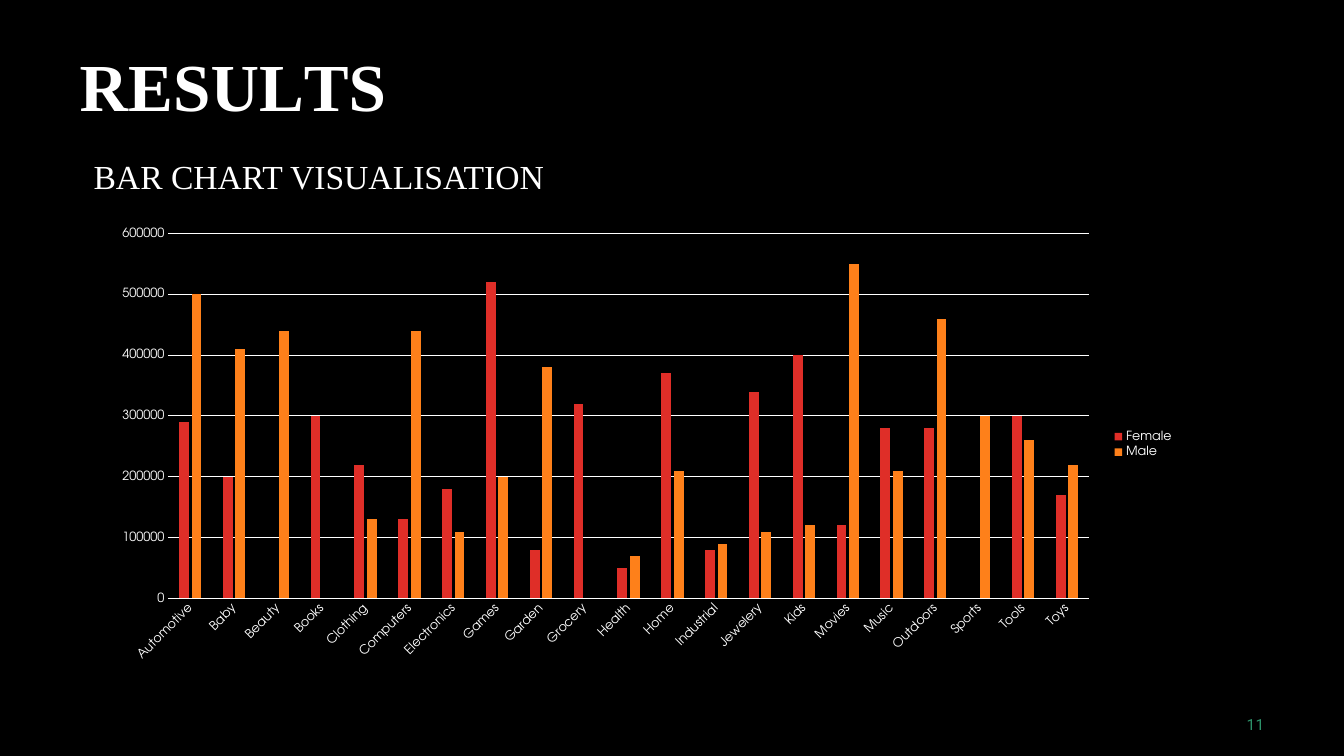
from pptx import Presentation
from pptx.chart.data import CategoryChartData
from pptx.dml.color import RGBColor
from pptx.enum import chart as ch, text
from pptx.util import Cm, Pt

BLACK = RGBColor(0x00, 0x00, 0x00)
WHITE = RGBColor(0xFF, 0xFF, 0xFF)
GREEN = RGBColor(0x2D, 0x93, 0x6B)
RED = RGBColor(0xDF, 0x2E, 0x28)
ORANGE = RGBColor(0xFE, 0x80, 0x1A)

SERIF = "Times New Roman"
CHART_FONT = "TeX Gyre Adventor"

# Category: (female, male), in thousands
SALES = {
    "Automotive": (290, 500), "Baby": (200, 410), "Beauty": (None, 440),
    "Books": (300, None), "Clothing": (220, 130), "Computers": (130, 440),
    "Electronics": (180, 110), "Games": (520, 200), "Garden": (80, 380),
    "Grocery": (320, None), "Health": (50, 70), "Home": (370, 210),
    "Industrial": (80, 90), "Jewelery": (340, 110), "Kids": (400, 120),
    "Movies": (120, 550), "Music": (280, 210), "Outdoors": (280, 460),
    "Sports": (None, 300), "Tools": (300, 260), "Toys": (170, 220),
}
SERIES = (("Female", RED), ("Male", ORANGE))


def style_font(font, size, name, color, bold=False):
    font.size, font.name, font.bold = Pt(size), name, bold
    font.color.rgb = color


def add_text(s, runs, left, top, width, height, *, size, font=SERIF, color=WHITE,
             bold=False, align=None, anchor=text.MSO_ANCHOR.TOP, inset=True,
             before=0):
    """Add a text box; runs are (text, letter spacing in points) pairs."""
    tf = s.shapes.add_textbox(Cm(left), Cm(top), Cm(width), Cm(height)).text_frame
    tf.word_wrap = True
    tf.vertical_anchor = anchor
    if not inset:
        tf.margin_left = tf.margin_right = tf.margin_bottom = 0
        tf.margin_top = Cm(0.03)
    p = tf.paragraphs[0]
    p.alignment = align
    p.space_before = Pt(before)
    for words, spacing in runs:
        r = p.add_run()
        r.text = words
        style_font(r.font, size, font, color, bold)
        r.font._element.set("spc", str(round(spacing * 100)))


def style_axis(axis):
    axis.major_tick_mark = axis.minor_tick_mark = ch.XL_TICK_MARK.NONE
    style_font(axis.tick_labels.font, 9, CHART_FONT, WHITE)


def style_line(line):
    line.color.rgb = WHITE
    line.width = Pt(0.75)


def add_sales_chart(s, left, top, width, height):
    data = CategoryChartData(number_format="General")
    data.categories = list(SALES)
    for (name, _), thousands in zip(SERIES, zip(*SALES.values())):
        data.add_series(name, [None if v is None else v * 1000 for v in thousands])
    chart = s.shapes.add_chart(ch.XL_CHART_TYPE.COLUMN_CLUSTERED, Cm(left), Cm(top),
                               Cm(width), Cm(height), data).chart
    chart.has_title = False
    style_font(chart.font, 10, CHART_FONT, WHITE)

    plot = chart.plots[0]
    plot.gap_width, plot.overlap = 219, -27
    plot.vary_by_categories = False
    for series, (_, color) in zip(plot.series, SERIES):
        series.format.fill.solid()
        series.format.fill.fore_color.rgb = color

    categories, values = chart.category_axis, chart.value_axis
    for axis in (categories, values):
        style_axis(axis)
    style_line(categories.format.line)
    categories._element.txPr.bodyPr.set("rot", str(-45 * 60000))
    values.format.line.fill.background()
    values.minimum_scale, values.maximum_scale, values.major_unit = 0, 600000, 100000
    style_line(values.major_gridlines.format.line)

    chart.has_legend = True
    chart.legend.position = ch.XL_LEGEND_POSITION.RIGHT
    chart.legend.include_in_layout = False
    style_font(chart.legend.font, 9, CHART_FONT, WHITE)


def main():
    prs = Presentation()
    prs.slide_width, prs.slide_height = Cm(33.87), Cm(19.05)
    s = prs.slides.add_slide(prs.slide_layouts[6])
    s.background.fill.solid()
    s.background.fill.fore_color.rgb = BLACK

    title = [("R", 0), ("E", -0.4), ("S", 0.1), ("U", -0.3), ("L", -4), ("TS", 0)]
    add_text(s, title, 1.47, 1.07, 8.26, 2.08, size=48, bold=True, inset=False,
             align=text.PP_ALIGN.RIGHT, anchor=text.MSO_ANCHOR.MIDDLE, before=1.1)
    add_text(s, [("BAR CHART VISUALISATION", 0)], 2.11, 3.81, 23.88, 1.27, size=24)
    add_sales_chart(s, 2.54, 5.51, 27.3, 11.38)
    add_text(s, [("11", 0.1)], 31.42, 17.98, 0.54, 0.53, size=11, font="Roboto",
             color=GREEN, inset=False, before=0.6)
    prs.save("out.pptx")


if __name__ == "__main__":
    main()
